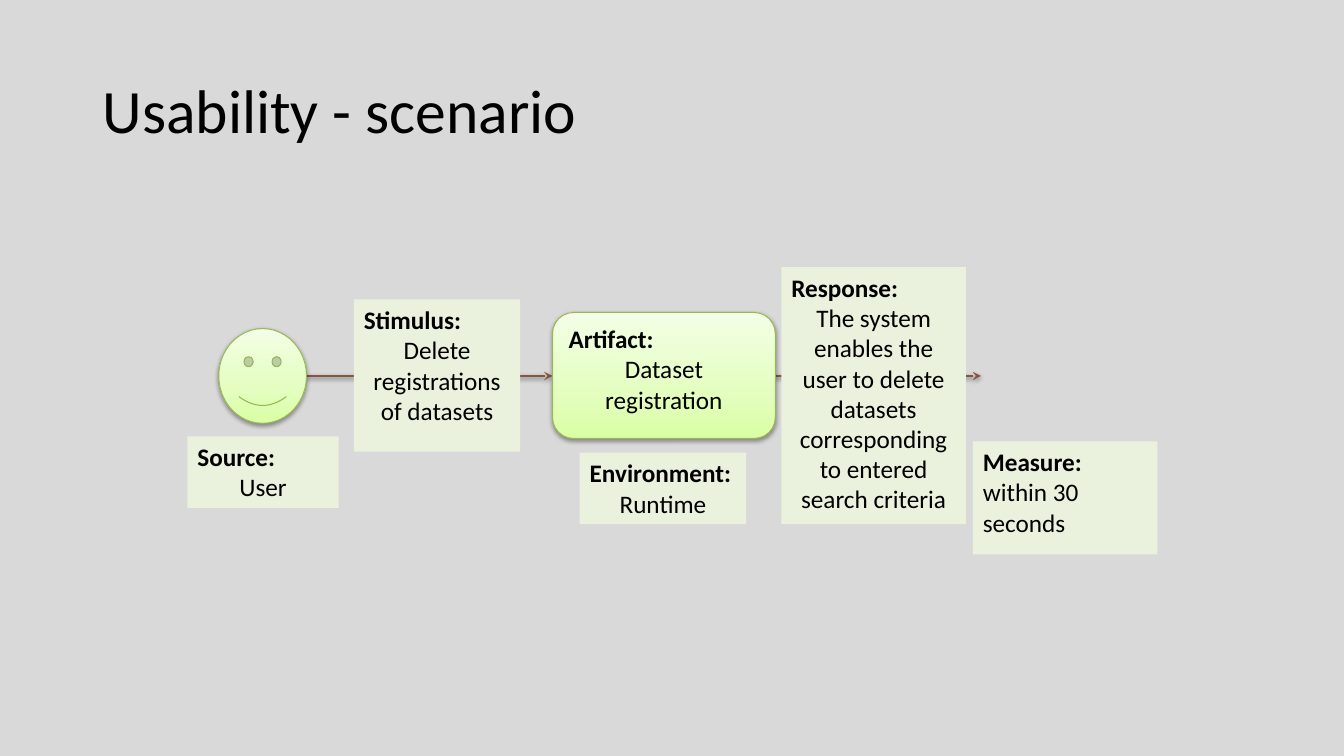
from copy import deepcopy

from lxml.etree import SubElement
from pptx import Presentation
from pptx.dml.color import RGBColor
from pptx.enum.shapes import MSO_CONNECTOR, MSO_SHAPE
from pptx.enum.text import MSO_ANCHOR, PP_ALIGN
from pptx.oxml.ns import qn
from pptx.util import Inches, Pt

BACKGROUND = RGBColor(0xD9, 0xD9, 0xD9)
BLACK = RGBColor(0x00, 0x00, 0x00)
PALE_GREEN = RGBColor(0xEA, 0xF1, 0xDD)
GREEN_LINE = RGBColor(0x97, 0xB8, 0x53)
ARROW_BROWN = RGBColor(0x86, 0x56, 0x40)
GRADIENT = [
    (0, RGBColor(0xDA, 0xFE, 0xA4)),
    (0.35, RGBColor(0xE3, 0xFE, 0xBF)),
    (1, RGBColor(0xF4, 0xFE, 0xE6)),
]


def write(p, text, size=18, bold=False, align=PP_ALIGN.LEFT):
    p.alignment = align
    r = p.add_run()
    r.text = text
    r.font.name = "Calibri"
    r.font.size = Pt(size)
    r.font.bold = bold
    r.font.color.rgb = BLACK


def add_shadow(s):
    effects = SubElement(s._element.spPr, qn("a:effectLst"))
    shadow = SubElement(effects, qn("a:outerShdw"), blurRad="40000",
                        dist="20000", dir="5400000", rotWithShape="0")
    color = SubElement(shadow, qn("a:srgbClr"), val="000000")
    SubElement(color, qn("a:alpha"), val="37000")


prs = Presentation()
prs.slide_width = Inches(13.33)
prs.slide_height = Inches(7.5)
slide = prs.slides.add_slide(prs.slide_layouts[6])
slide.background.fill.solid()
slide.background.fill.fore_color.rgb = BACKGROUND

# Title
title = slide.shapes.add_textbox(Inches(0.92), Inches(0.4), Inches(11.5), Inches(1.45))
tf = title.text_frame
tf.word_wrap = True
tf.vertical_anchor = MSO_ANCHOR.MIDDLE
tf.paragraphs[0].line_spacing = 0.9
write(tf.paragraphs[0], "Usability - scenario", size=44)

# Arrows, behind the boxes they pass
for start, end in [(3.04, 5.48), (7.68, 9.73)]:
    arrow = slide.shapes.add_connector(
        MSO_CONNECTOR.STRAIGHT, Inches(start), Inches(3.73), Inches(end), Inches(3.73))
    arrow.line.color.rgb = ARROW_BROWN
    arrow.line.width = Pt(2)
    SubElement(arrow.line._get_or_add_ln(), qn("a:tailEnd"), type="stealth")
    add_shadow(arrow)

# User face and scenario boxes: shape, place, heading, body, body alignment
FACE, ROUND, RECT = MSO_SHAPE.SMILEY_FACE, MSO_SHAPE.ROUNDED_RECTANGLE, MSO_SHAPE.RECTANGLE
CENTER, LEFT = PP_ALIGN.CENTER, PP_ALIGN.LEFT
parts = [
    (FACE, (2.17, 3.26, 0.87, 0.94), None, None, CENTER),
    (RECT, (1.86, 4.33, 1.5, 0.71), "Source:", "User", CENTER),
    (ROUND, (5.48, 3.1, 2.21, 1.25), "Artifact:", "Dataset registration", CENTER),
    (RECT, (3.51, 2.97, 1.65, 1.51), "Stimulus:", "Delete registrations of datasets", CENTER),
    (RECT, (5.75, 4.49, 1.65, 0.71), "Environment:", "Runtime", CENTER),
    (RECT, (7.75, 2.65, 1.83, 2.55), "Response:",
     "The system enables the user to delete datasets corresponding to entered search criteria",
     CENTER),
    (RECT, (9.65, 4.38, 1.83, 1.12), "Measure:", "within 30 seconds", LEFT),
]
for kind, place, heading, body, align in parts:
    s = slide.shapes.add_shape(kind, *[Inches(v) for v in place])
    if kind == RECT:
        s.fill.solid()
        s.fill.fore_color.rgb = PALE_GREEN
        s.line.fill.background()
        s.shadow.inherit = False
    else:
        s.fill.gradient()
        s.fill.gradient_angle = 90
        stops = s._element.spPr.find(".//" + qn("a:gsLst"))
        stops.insert(1, deepcopy(stops[0]))
        for stop, (position, color) in zip(s.fill.gradient_stops, GRADIENT):
            stop.position = position
            stop.color.rgb = color
        s.line.color.rgb = GREEN_LINE
        s.line.width = Pt(0.75)
        add_shadow(s)
    if heading:
        tf = s.text_frame
        tf.word_wrap = True
        tf.vertical_anchor = MSO_ANCHOR.TOP
        write(tf.paragraphs[0], heading, bold=True)
        write(tf.add_paragraph(), body, align=align)

prs.save("out.pptx")
